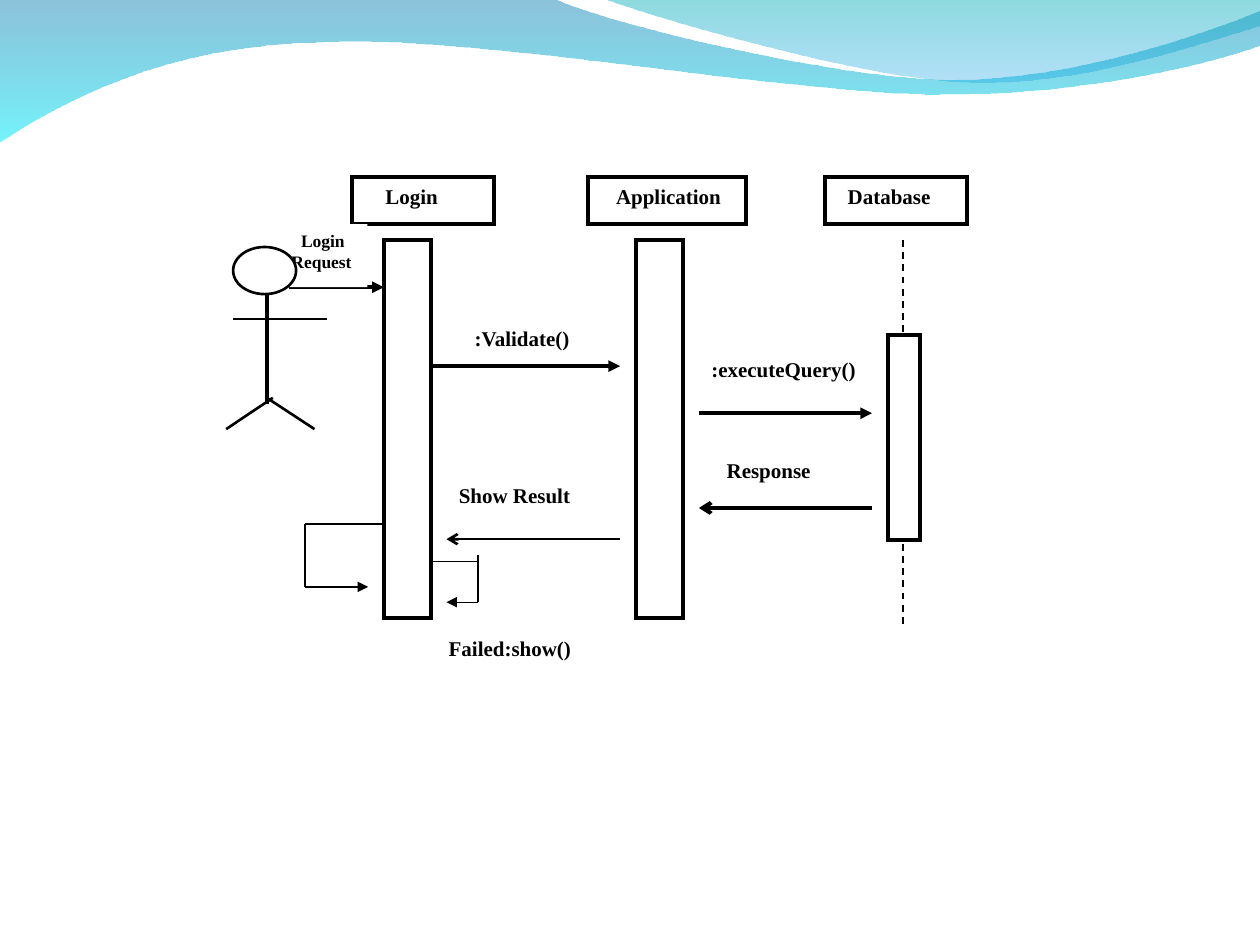
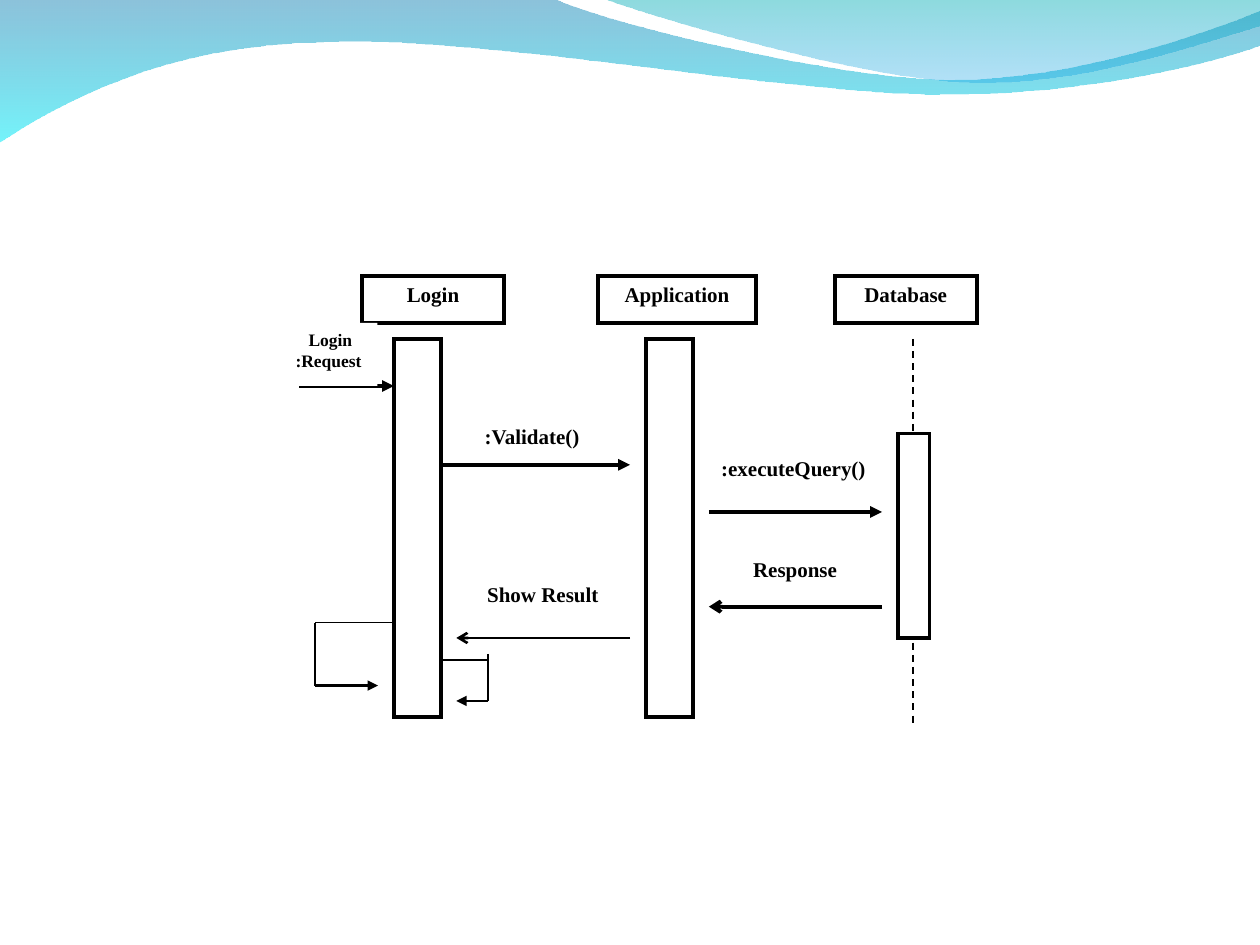
from dataclasses import dataclass, field
from typing import NamedTuple

from lxml.etree import SubElement
from pptx import Presentation
from pptx.dml.color import RGBColor
from pptx.enum.dml import MSO_LINE
from pptx.enum.shapes import MSO_CONNECTOR, MSO_SHAPE
from pptx.enum.text import MSO_ANCHOR, PP_ALIGN
from pptx.oxml.ns import qn
from pptx.util import Cm, Pt

SLIDE_WIDTH, SLIDE_HEIGHT = 25.4, 19.05
BLACK, WHITE = "000000", "FFFFFF"
FONT = "Times New Roman"
LEFT, CENTER, JUSTIFY = PP_ALIGN.LEFT, PP_ALIGN.CENTER, PP_ALIGN.JUSTIFY


class Point(NamedTuple):
    x: float
    y: float


class Box(NamedTuple):
    left: float
    top: float
    width: float
    height: float
    outline: float = 0
    preset: MSO_SHAPE = MSO_SHAPE.RECTANGLE


class Line(NamedTuple):
    start: Point
    end: Point
    width: float
    arrowhead: str = ""
    dashed: bool = False


class Text(NamedTuple):
    words: str
    align: PP_ALIGN
    indent: float = 0
    size: float = 12


class GradientStop(NamedTuple):
    color: str
    opacity: int


class Wave(NamedTuple):
    """Each segment holds one point (straight) or three points (cubic curve)."""
    start: Point
    segments: list[list[Point]]
    stops: list[GradientStop]


@dataclass
class SequenceDiagram:
    """Offsets inside the diagram are in cm from the origin."""
    origin: Point
    headers: list[Text]
    request: list[Text]
    messages: list[Text]
    has_actor: bool = False
    extra_labels: list[tuple[Box, Text]] = field(default_factory=list)


WAVES = [
    Wave(Point(0, -0.02), [
        [Point(11.18, -0.02)],
        [Point(12.09, 0.43), Point(16.87, 1.6), Point(19.25, 1.6)],
        [Point(21.67, 1.6), Point(24.33, 0.66), Point(25.4, 0.23)],
        [Point(25.42, 0.91)],
        [Point(24.97, 1.12), Point(22.1, 1.93), Point(18.95, 1.9)],
        [Point(15.8, 1.9), Point(9.7, 0.71), Point(6.53, 0.86)],
        [Point(3.28, 0.89), Point(1.17, 2.11), Point(-0.02, 2.87)],
    ], [GradientStop("0079AF", 45), GradientStop("00EBF8", 55)]),
    Wave(Point(12.17, -0.02), [
        [Point(12.93, 0.28), Point(17.32, 1.57), Point(19.53, 1.65)],
        [Point(21.74, 1.75), Point(24.41, 0.81), Point(25.4, 0.53)],
        [Point(25.4, 0)],
    ], [GradientStop("00ADB6", 45), GradientStop("009BE5", 30)]),
]

HEADER_BOXES = [
    Box(0, 0, 2.86, 0.95, 2.25),
    Box(4.76, 0, 3.18, 0.95, 2.25),
    Box(9.53, 0, 2.86, 0.95, 2.25),
]
LIFELINE = Line(Point(11.11, 1.27), Point(11.11, 9.09), 1, dashed=True)
ACTIVATION_BARS = [
    Box(0.64, 1.27, 0.95, 7.62, 2.25),
    Box(5.72, 1.27, 0.95, 7.62, 2.25),
]
DATABASE_BAR = Box(10.8, 3.18, 0.64, 4.13, 2.25)
MESSAGE_LINES = [
    Line(Point(-1.27, 2.22), Point(0.64, 2.22), 2.25, "triangle"),
    Line(Point(1.59, 3.81), Point(5.4, 3.81), 2.25, "triangle"),
    Line(Point(6.99, 4.76), Point(10.48, 4.76), 2.25, "triangle"),
    Line(Point(10.48, 6.67), Point(6.99, 6.67), 2.25, "arrow"),
    Line(Point(5.4, 7.3), Point(1.9, 7.3), 1.5, "arrow"),
]
SELF_CALL_LINES = [
    Line(Point(1.59, 7.75), Point(2.54, 7.75), 1),
    Line(Point(2.54, 7.62), Point(2.54, 8.57), 1),
    Line(Point(2.54, 8.57), Point(1.9, 8.57), 0.75, "triangle"),
    Line(Point(0.64, 6.99), Point(-0.95, 6.99), 1),
    Line(Point(-0.95, 6.99), Point(-0.95, 8.26), 1),
    Line(Point(-0.95, 8.26), Point(0.32, 8.26), 1.5, "triangle"),
]
REQUEST_BOX = Box(-1.59, 0.95, 1.9, 1.27)
MESSAGE_BOXES = [
    Box(2.22, 2.86, 2.54, 0.64),
    Box(6.99, 3.49, 3.49, 0.95),
    Box(7.3, 5.53, 2.86, 0.95),
    Box(1.9, 6.03, 3.49, 0.95),
]
ACTOR_BODY = Line(Point(-1.72, 2.36), Point(-1.72, 4.57), 2.25)
ACTOR_HEAD = Box(-2.4, 1.41, 1.27, 0.95, 1.5, MSO_SHAPE.OVAL)
ACTOR_LIMBS = [
    Line(Point(-1.72, 4.45), Point(-0.76, 5.08), 1.5),
    Line(Point(-1.6, 4.45), Point(-2.54, 5.08), 1.5),
    Line(Point(-2.4, 2.86), Point(-0.5, 2.86), 1.5),
]

DIAGRAMS = [
    SequenceDiagram(
        Point(7.1, 3.57),
        [Text("Login", JUSTIFY, 0.42), Text("Application", JUSTIFY, 0.31),
         Text("Database", JUSTIFY, 0.21)],
        [Text("Login", CENTER, 0.1, 10), Text(":Request", LEFT, size=10)],
        [Text(":Validate()", JUSTIFY), Text(":executeQuery()", JUSTIFY),
         Text("Response", JUSTIFY), Text("Show Result", JUSTIFY)],
        has_actor=True,
        extra_labels=[(Box(1.59, 9.11, 3.18, 0.95), Text("Failed:show()", CENTER))],
    ),
    SequenceDiagram(
        Point(7.3, 5.56),
        [Text("Login", CENTER), Text("Application", CENTER), Text("Database", CENTER)],
        [Text("Login", CENTER, size=10), Text(":Request", LEFT, size=10)],
        [Text(":Validate()", LEFT), Text(":executeQuery()", LEFT),
         Text("Response", CENTER), Text("Show Result", CENTER)],
    ),
]


def rgb(color: str) -> RGBColor:
    return RGBColor.from_string(color)


def bend_segments(shape, segments: list[list[Point]]) -> None:
    """Turn the straight steps of a freeform into cubic curves where segments ask for it."""
    steps = list(shape._element.iter(qn("a:lnTo")))
    for step, segment in zip(steps, segments):
        if len(segment) == 3:
            step.tag = qn("a:cubicBezTo")
            end = step[0]
            for control in segment[:2]:
                end.addprevious(end.makeelement(qn("a:pt"), {
                    "x": str(Cm(control.x) - shape.left),
                    "y": str(Cm(control.y) - shape.top)}))


def draw_wave(slide, wave: Wave) -> None:
    builder = slide.shapes.build_freeform(Cm(wave.start.x), Cm(wave.start.y), scale=1.0)
    builder.add_line_segments([(Cm(segment[-1].x), Cm(segment[-1].y))
                               for segment in wave.segments])
    shape = builder.convert_to_shape()
    bend_segments(shape, wave.segments)
    shape.shadow.inherit = False
    shape.line.fill.background()
    shape.fill.gradient()
    shape.fill.gradient_angle = 270
    for gradient_stop, stop in zip(shape.fill.gradient_stops, wave.stops):
        gradient_stop.color.rgb = rgb(stop.color)
    colors = list(shape._element.spPr.iter(qn("a:srgbClr")))
    for color, stop in zip(colors, wave.stops):
        for child in list(color):
            color.remove(child)
        SubElement(color, qn("a:alpha"), val=str(stop.opacity * 1000))


def write_texts(shape, texts: list[Text]) -> None:
    frame = shape.text_frame
    frame.word_wrap = True
    frame.vertical_anchor = MSO_ANCHOR.TOP
    for index, text in enumerate(texts):
        paragraph = frame.add_paragraph() if index else frame.paragraphs[0]
        paragraph.text = text.words
        paragraph.alignment = text.align
        if text.indent:
            paragraph._p.get_or_add_pPr().set("marL", str(Cm(text.indent)))
        paragraph.font.name = FONT
        paragraph.font.size = Pt(text.size)
        paragraph.font.bold = True
        paragraph.font.color.rgb = rgb(BLACK)


def draw_box(group, origin: Point, box: Box, *texts: Text) -> None:
    shape = group.shapes.add_shape(box.preset, Cm(origin.x + box.left), Cm(origin.y + box.top),
                                   Cm(box.width), Cm(box.height))
    shape.shadow.inherit = False
    shape.fill.solid()
    shape.fill.fore_color.rgb = rgb(WHITE)
    if box.outline:
        shape.line.color.rgb = rgb(BLACK)
        shape.line.width = Pt(box.outline)
        SubElement(shape.line._get_or_add_ln(), qn("a:miter"), lim="800000")
    else:
        shape.line.fill.background()
    if texts:
        write_texts(shape, list(texts))


def draw_line(group, origin: Point, line: Line) -> None:
    connector = group.shapes.add_connector(
        MSO_CONNECTOR.STRAIGHT,
        Cm(origin.x + line.start.x), Cm(origin.y + line.start.y),
        Cm(origin.x + line.end.x), Cm(origin.y + line.end.y))
    connector.line.color.rgb = rgb(BLACK)
    connector.line.width = Pt(line.width)
    if line.dashed:
        connector.line.dash_style = MSO_LINE.DASH
    if line.arrowhead:
        SubElement(connector.line._get_or_add_ln(), qn("a:tailEnd"), type=line.arrowhead)
    SubElement(connector._element.spPr, qn("a:effectLst"))


def draw_actor(group, origin: Point) -> None:
    draw_line(group, origin, ACTOR_BODY)
    draw_box(group, origin, ACTOR_HEAD)
    for limb in ACTOR_LIMBS:
        draw_line(group, origin, limb)


def draw_diagram(slide, diagram: SequenceDiagram) -> None:
    origin = diagram.origin
    group = slide.shapes.add_group_shape()
    for box, header in zip(HEADER_BOXES, diagram.headers):
        draw_box(group, origin, box, header)
    for bar in ACTIVATION_BARS:
        draw_box(group, origin, bar)
    draw_line(group, origin, LIFELINE)
    draw_box(group, origin, DATABASE_BAR)
    for line in MESSAGE_LINES + SELF_CALL_LINES:
        draw_line(group, origin, line)
    draw_box(group, origin, REQUEST_BOX, *diagram.request)
    for box, message in [*zip(MESSAGE_BOXES, diagram.messages), *diagram.extra_labels]:
        draw_box(group, origin, box, message)
    if diagram.has_actor:
        draw_actor(group, origin)


def main() -> None:
    presentation = Presentation()
    presentation.slide_width = Cm(SLIDE_WIDTH)
    presentation.slide_height = Cm(SLIDE_HEIGHT)
    for diagram in DIAGRAMS:
        slide = presentation.slides.add_slide(presentation.slide_layouts[6])
        for wave in WAVES:
            draw_wave(slide, wave)
        draw_diagram(slide, diagram)
    presentation.save("out.pptx")


if __name__ == "__main__":
    main()
